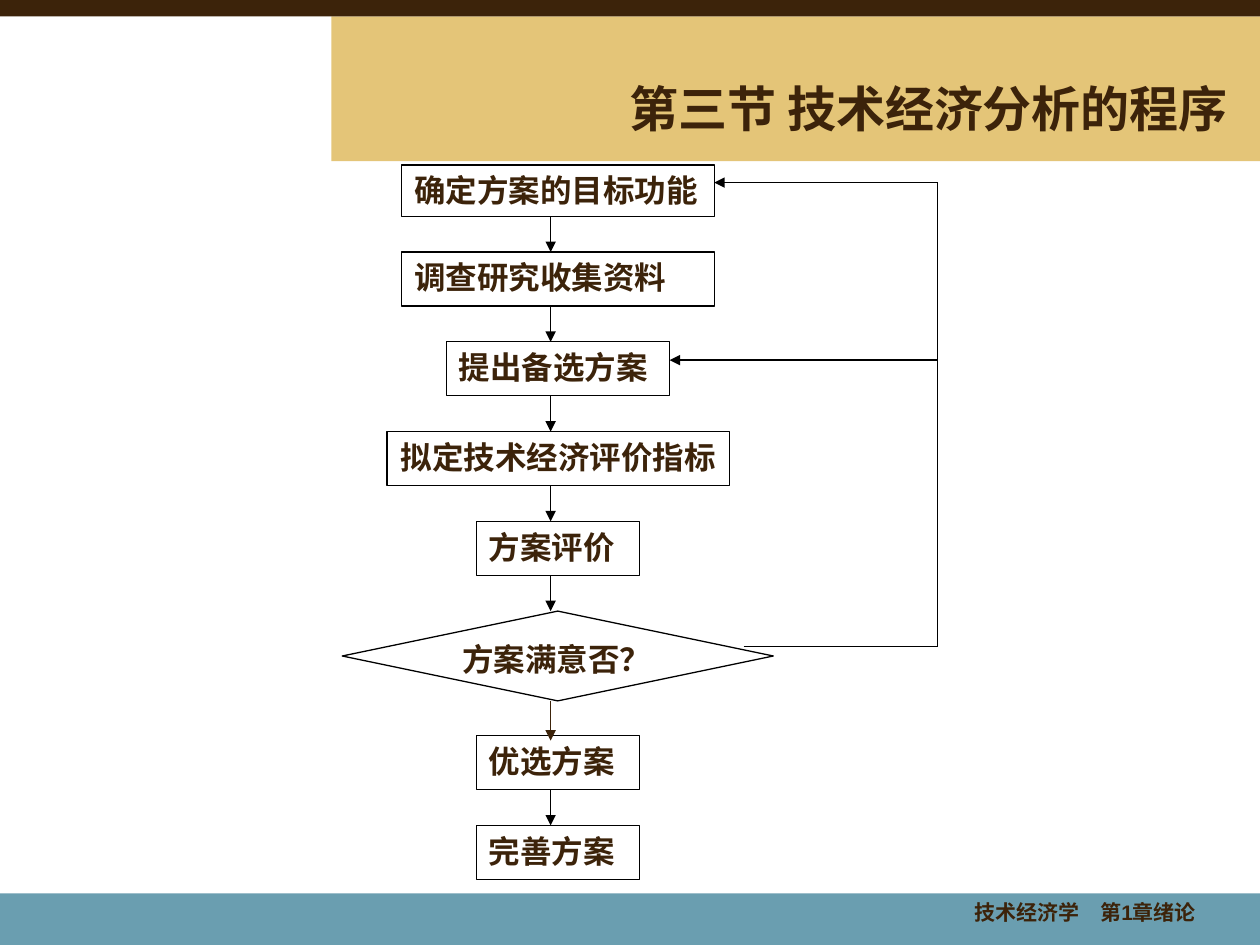
from dataclasses import dataclass

from lxml.etree import SubElement
from pptx import Presentation
from pptx.dml.color import RGBColor
from pptx.enum.shapes import MSO_CONNECTOR, MSO_SHAPE
from pptx.enum.text import MSO_ANCHOR, MSO_AUTO_SIZE, PP_ALIGN
from pptx.oxml.ns import qn
from pptx.shapes.autoshape import Shape
from pptx.slide import Slide
from pptx.text.text import TextFrame
from pptx.util import Cm, Pt

BROWN = RGBColor(0x3C, 0x23, 0x0A)
SAND = RGBColor(0xE4, 0xC5, 0x78)
BLUE = RGBColor(0x6A, 0x9E, 0xB0)
WHITE = RGBColor(0xFF, 0xFF, 0xFF)
BLACK = RGBColor(0x00, 0x00, 0x00)

FONT = "Arial"
LINE_WIDTH = Pt(0.75)

# Flow layout, in centimetres
ROW_TOP = 5.08
ROW_PITCH = 1.81
ROW_HEIGHT = 1.09
FLOW_X = 11.1
RETURN_X = 18.9


@dataclass
class Band:
    left: float
    top: float
    width: float
    height: float
    color: RGBColor


@dataclass
class Step:
    text: str
    left: float
    top: float
    width: float
    height: float = ROW_HEIGHT
    kind: MSO_SHAPE = MSO_SHAPE.RECTANGLE
    align: PP_ALIGN = PP_ALIGN.LEFT


@dataclass
class Link:
    start: tuple[float, float]
    end: tuple[float, float]
    arrow: bool = True
    color: RGBColor = BLACK


def row(index: int) -> float:
    """Top of a row, counted from the second step."""
    return ROW_TOP + index * ROW_PITCH


DECISION_TOP = row(4)
SELECT_TOP = 14.83

BANDS = [
    Band(6.68, 0.33, 18.72, 2.92, SAND),
    Band(0, 18.01, 25.4, 1.04, BLUE),
    Band(0, 0, 25.4, 0.33, BROWN),
]

STEPS = [
    Step("确定方案的目标功能", 8.1, 3.33, 6.3, 1.04),
    Step("调查研究收集资料", 8.1, row(0), 6.3),
    Step("提出备选方案", 9, row(1), 4.5),
    Step("拟定技术经济评价指标", 7.8, row(2), 6.91, align=PP_ALIGN.CENTER),
    Step("方案评价", 9.6, row(3), 3.3),
    Step("方案满意否？", 6.9, DECISION_TOP, 8.69, 1.81, MSO_SHAPE.FLOWCHART_DECISION),
    Step("优选方案", 9.6, SELECT_TOP, 3.3),
    Step("完善方案", 9.6, SELECT_TOP + ROW_PITCH, 3.3),
]

RETURN_LINKS = [
    Link((14.99, 13.03), (RETURN_X, 13.03), arrow=False),
    Link((RETURN_X, 13.03), (RETURN_X, 3.68), arrow=False),
    Link((RETURN_X, 3.68), (14.4, 3.68)),
    Link((RETURN_X, 7.26), (13.5, 7.26)),
]


def write(frame: TextFrame, text: str, size: int, align: PP_ALIGN,
          anchor: MSO_ANCHOR = MSO_ANCHOR.TOP) -> None:
    frame.word_wrap = True
    frame.auto_size = MSO_AUTO_SIZE.NONE
    frame.vertical_anchor = anchor
    paragraph = frame.paragraphs[0]
    paragraph.alignment = align
    run = paragraph.add_run()
    run.text = text
    run.font.name = FONT
    run.font.size = Pt(size)
    run.font.bold = True
    run.font.color.rgb = BROWN


def add_band(slide: Slide, band: Band) -> None:
    shape = slide.shapes.add_shape(
        MSO_SHAPE.RECTANGLE,
        Cm(band.left), Cm(band.top), Cm(band.width), Cm(band.height))
    shape.shadow.inherit = False
    shape.fill.solid()
    shape.fill.fore_color.rgb = band.color
    shape.line.fill.background()


def add_step(slide: Slide, step: Step) -> Shape:
    shape = slide.shapes.add_shape(
        step.kind, Cm(step.left), Cm(step.top), Cm(step.width), Cm(step.height))
    shape.shadow.inherit = False
    shape.fill.solid()
    shape.fill.fore_color.rgb = WHITE
    shape.line.color.rgb = BLACK
    shape.line.width = LINE_WIDTH
    write(shape.text_frame, step.text, 18, step.align)
    return shape


def add_link(slide: Slide, link: Link) -> None:
    connector = slide.shapes.add_connector(
        MSO_CONNECTOR.STRAIGHT,
        *(Cm(value) for value in (*link.start, *link.end)))
    connector.line.color.rgb = link.color
    connector.line.width = LINE_WIDTH
    if link.arrow:
        SubElement(connector.line._get_or_add_ln(), qn("a:tailEnd"), type="triangle")
    SubElement(connector.element.spPr, qn("a:effectLst"))


def main() -> None:
    presentation = Presentation()
    presentation.slide_width = Cm(25.4)
    presentation.slide_height = Cm(19.05)
    slide = presentation.slides.add_slide(presentation.slide_layouts[5])

    # Background bands, with the title in front of them
    for band in BANDS:
        add_band(slide, band)
    title = slide.shapes.title
    slide.shapes.element.append(title.element)
    title.left, title.top, title.width, title.height = (
        Cm(7.42), Cm(1.4), Cm(17.58), Cm(1.57))
    write(title.text_frame, "第三节 技术经济分析的程序", 28, PP_ALIGN.RIGHT,
          MSO_ANCHOR.MIDDLE)

    # Steps of the procedure
    for step in STEPS:
        add_step(slide, step)

    # Downward arrows between neighbouring steps
    for upper, lower in zip(STEPS, STEPS[1:]):
        from_decision = upper.kind == MSO_SHAPE.FLOWCHART_DECISION
        add_link(slide, Link(
            (FLOW_X, upper.top + upper.height),
            (FLOW_X, lower.top + (0.1 if from_decision else 0)),
            color=BROWN if from_decision else BLACK))

    # Return path from the decision
    for link in RETURN_LINKS:
        add_link(slide, link)

    # Footer
    footer = slide.shapes.add_textbox(Cm(16.31), Cm(18.01), Cm(8.05), Cm(0.84))
    write(footer.text_frame, "技术经济学　第1章绪论", 12, PP_ALIGN.RIGHT)

    presentation.save("out.pptx")


if __name__ == "__main__":
    main()
